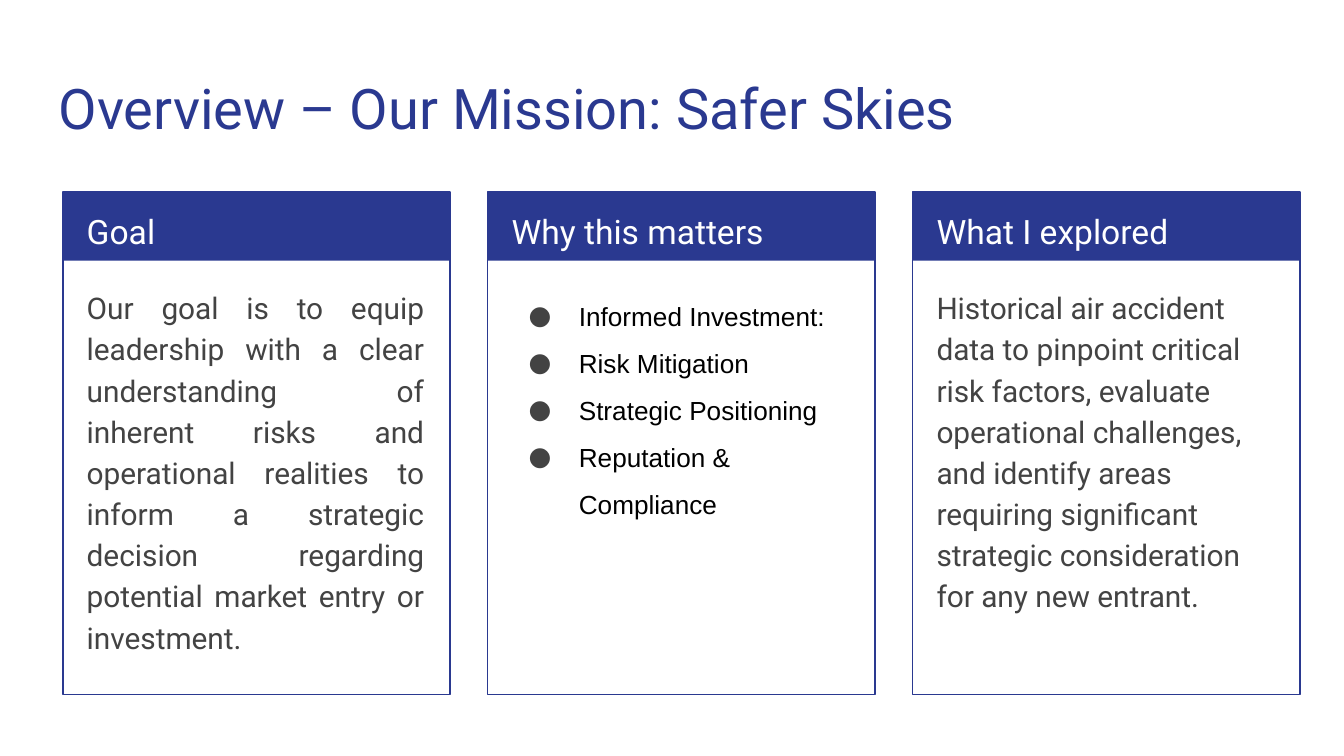
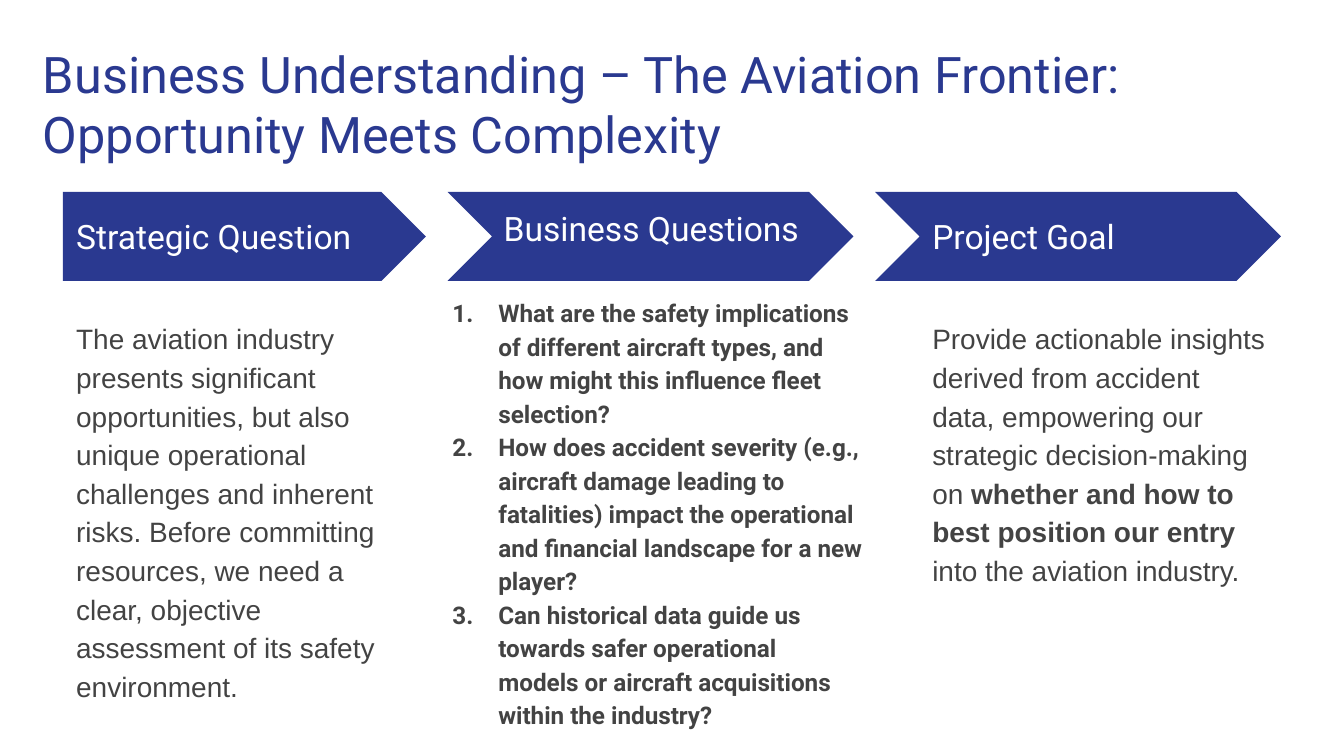
from dataclasses import dataclass

from lxml import etree
from pptx import Presentation
from pptx.dml.color import RGBColor
from pptx.enum.shapes import MSO_SHAPE
from pptx.enum.text import MSO_ANCHOR, MSO_AUTO_SIZE, PP_ALIGN
from pptx.oxml.ns import qn
from pptx.util import Cm, Pt

RECT, PLATE, CHEVRON = MSO_SHAPE.RECTANGLE, MSO_SHAPE.PENTAGON, MSO_SHAPE.CHEVRON
TOP, MIDDLE = MSO_ANCHOR.TOP, MSO_ANCHOR.MIDDLE
LEFT, JUSTIFY = PP_ALIGN.LEFT, PP_ALIGN.JUSTIFY
FIXED = MSO_AUTO_SIZE.NONE

NAVY, GREY, WHITE, BLACK = "2A3990", "434343", "FFFFFF", "000000"
SANS, PLAIN = "Roboto", "Arial"
MARGIN, BAND_TOP = 1.19, 3.63
INSET = Cm(0.25)


@dataclass(frozen=True)
class Box:
    """A place on the slide, in centimetres."""
    left: float
    top: float
    width: float
    height: float

    def lengths(self) -> tuple:
        return Cm(self.left), Cm(self.top), Cm(self.width), Cm(self.height)


@dataclass(frozen=True)
class Style:
    """Text format; mark is a bullet sign, or "1." for numbers."""
    size: float
    color: str = GREY
    font: str = SANS
    bold: bool = False
    align: int = LEFT
    lines: float = 1.0
    after: float = 0
    mark: str = ""
    hang: float = 0


@dataclass(frozen=True)
class Panel:
    head: str
    lines: list[str]
    style: Style


@dataclass(frozen=True)
class Step:
    head: str
    kind: int
    width: float
    label: Box
    lines: list[str]
    body: Box
    style: Style


HEAD = Style(18, WHITE, lines=1.15)
LABEL = Style(18, WHITE)
TEXT = Style(16, lines=1.15, after=16)
BLOCK = Style(16, align=JUSTIFY, lines=1.15, after=16)
POINTS = Style(14, BLACK, PLAIN, lines=1.5, mark="●", hang=0.95)
STORY = Style(15, font=PLAIN, lines=1.15, after=8)
NUMBERS = Style(13, bold=True, lines=1.15, mark="1.", hang=0.87)

PANELS = [
    Panel("Goal", [
        "Our goal is to equip leadership with a clear understanding of inherent "
        "risks and operational realities to inform a strategic decision regarding "
        "potential market entry or investment."], BLOCK),
    Panel("Why this matters", [
        "Informed Investment:", "Risk Mitigation", "Strategic Positioning",
        "Reputation & Compliance"], POINTS),
    Panel("What I explored", [
        "Historical air accident data to pinpoint critical risk factors, evaluate "
        "operational challenges, and identify areas requiring significant "
        "strategic consideration for any new entrant."], TEXT),
]

# Asterisks enclose bold words.
STEPS = [
    Step("Strategic Question", PLATE, 6.86, Box(MARGIN, 4.04, 6.27, 0.86), [
        "The aviation industry presents significant opportunities, but also unique "
        "operational challenges and inherent risks. Before committing resources, "
        "we need a clear, objective assessment of its safety environment."],
        Box(MARGIN, 5.74, 6.86, 7.37), STORY),
    Step("Business Questions", CHEVRON, 7.67, Box(9.27, 3.73, 6.86, 1.17), [
        "What are the safety implications of different aircraft types, and how "
        "might this influence fleet selection?",
        "How does accident severity (e.g., aircraft damage leading to fatalities) "
        "impact the operational and financial landscape for a new player?",
        "Can historical data guide us towards safer operational models or aircraft "
        "acquisitions within the industry?"],
        Box(7.9, 5.31, 8.64, 8.2), NUMBERS),
    Step("Project Goal", CHEVRON, 7.67, Box(17.37, 4.04, 6.27, 0.86), [
        "Provide actionable insights derived from accident data, empowering our "
        "strategic decision-making on *whether and how to best position our entry* "
        "into the aviation industry."],
        Box(17.37, 5.74, 6.86, 6.3), STORY),
]


def rgb(color: str) -> RGBColor:
    return RGBColor.from_string(color)


def set_mark(para, style: Style) -> None:
    """Give a paragraph its hanging bullet or number."""
    props = para._p.get_or_add_pPr()
    props.set("marL", str(Cm(1.27)))
    props.set("indent", str(-Cm(style.hang)))
    tint = etree.SubElement(props, qn("a:buClr"))
    etree.SubElement(tint, qn("a:srgbClr"), val=GREY)
    if style.mark == "1.":
        etree.SubElement(props, qn("a:buAutoNum"), type="arabicPeriod")
    else:
        etree.SubElement(props, qn("a:buFont"), typeface=SANS)
        etree.SubElement(props, qn("a:buChar"), char=style.mark)


def write(shape, lines: list[str], style: Style, anchor: int = TOP) -> None:
    frame = shape.text_frame
    frame.word_wrap = True
    frame.auto_size = FIXED
    frame.vertical_anchor = anchor
    frame.margin_left = frame.margin_right = INSET
    frame.margin_top = frame.margin_bottom = INSET
    frame.text = "\n".join(lines)
    for para, line in zip(frame.paragraphs, lines):
        first, *rest = line.split("*")
        para.text = first
        for part in rest:
            para.add_run().text = part
        para.alignment = style.align
        para.line_spacing = style.lines
        para.space_before = Pt(0)
        para.space_after = Pt(style.after)
        for spot, run in enumerate(para.runs):
            font = run.font
            font.name, font.size = style.font, Pt(style.size)
            font.bold = style.bold or spot % 2 == 1
            font.color.rgb = rgb(style.color)
        if style.mark:
            set_mark(para, style)


def add_text(slide, box: Box, lines: list[str], style: Style,
             anchor: int = TOP) -> None:
    write(slide.shapes.add_textbox(*box.lengths()), lines, style, anchor)


def add_form(slide, kind: int, box: Box, fill: str = "", line: str = "") -> None:
    shape = slide.shapes.add_shape(kind, *box.lengths())
    shape.shadow.inherit = False
    if fill:
        shape.fill.solid()
        shape.fill.fore_color.rgb = rgb(fill)
    else:
        shape.fill.background()
    if line:
        shape.line.color.rgb = rgb(line)
        shape.line.width = Pt(0.75)
    else:
        shape.line.fill.background()


def add_slide(deck, title: str, box: Box, size: float):
    """Add a title-only slide and format its title."""
    slide = deck.slides.add_slide(deck.slide_layouts[5])
    head = slide.shapes.title
    head.left, head.top, head.width, head.height = box.lengths()
    write(head, [title], Style(size, NAVY))
    return slide


def add_panels(slide) -> None:
    pitch, width, pad = 8.03, 7.32, 0.2
    for spot, panel in enumerate(PANELS):
        left = MARGIN + spot * pitch
        add_form(slide, RECT, Box(left, BAND_TOP, width, 1.3), fill=NAVY)
        add_form(slide, RECT, Box(left, BAND_TOP, width, 9.5), line=NAVY)
        add_text(slide, Box(left + pad, BAND_TOP, 6.93, 1.27), [panel.head], HEAD)
        add_text(slide, Box(left + pad, 5.13, 6.88, 7.77), panel.lines, panel.style)


def add_steps(slide) -> None:
    left, gap = MARGIN, 0.41
    for step in STEPS:
        add_form(slide, step.kind, Box(left, BAND_TOP, step.width, 1.68), fill=NAVY)
        add_text(slide, step.label, [step.head], LABEL, MIDDLE)
        add_text(slide, step.body, step.lines, step.style)
        left += step.width + gap


def main() -> None:
    deck = Presentation()
    deck.slide_width, deck.slide_height = Cm(25.4), Cm(14.29)
    add_panels(add_slide(deck, "Overview – Our Mission: Safer Skies",
                         Box(0.86, 1.14, 23.67, 1.68), 30))
    add_steps(add_slide(
        deck,
        "Business Understanding – The Aviation Frontier: "
        "Opportunity Meets Complexity",
        Box(0.56, 0.56, 23.98, 1.9), 27))
    deck.save("out.pptx")


if __name__ == "__main__":
    main()
